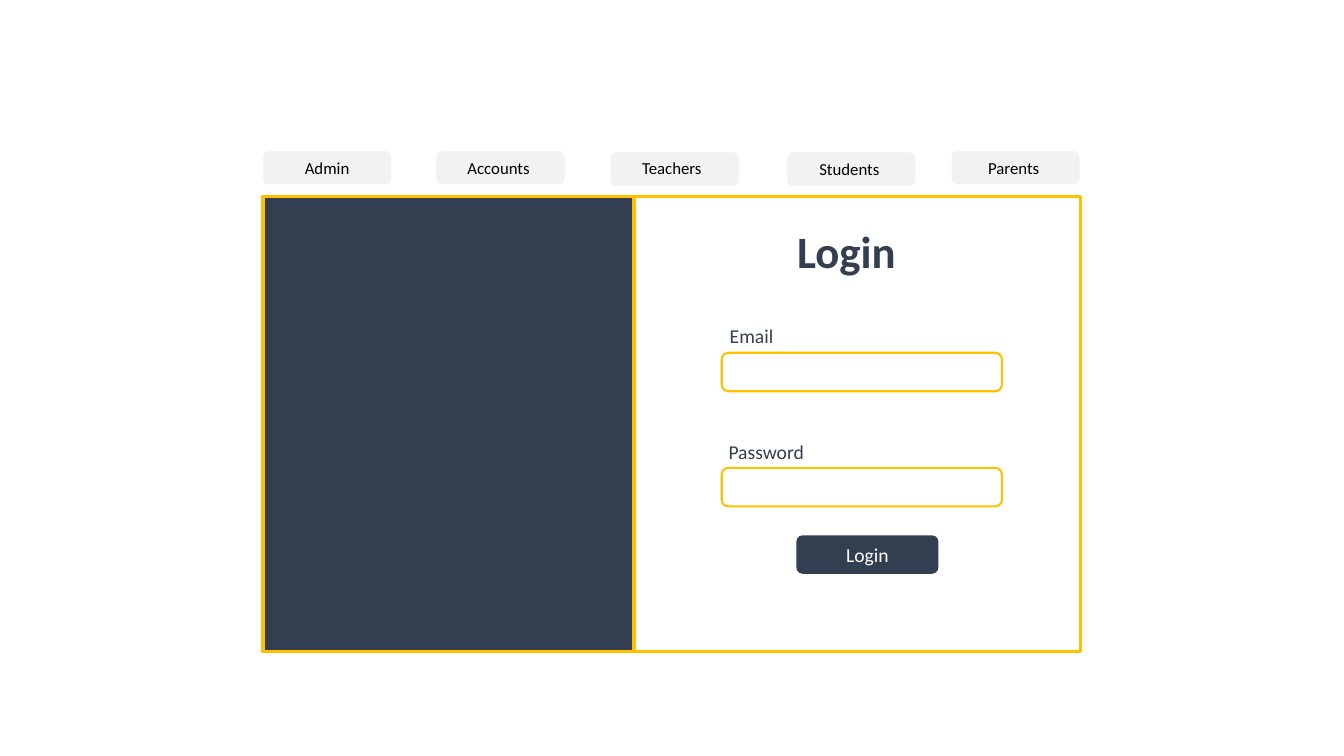
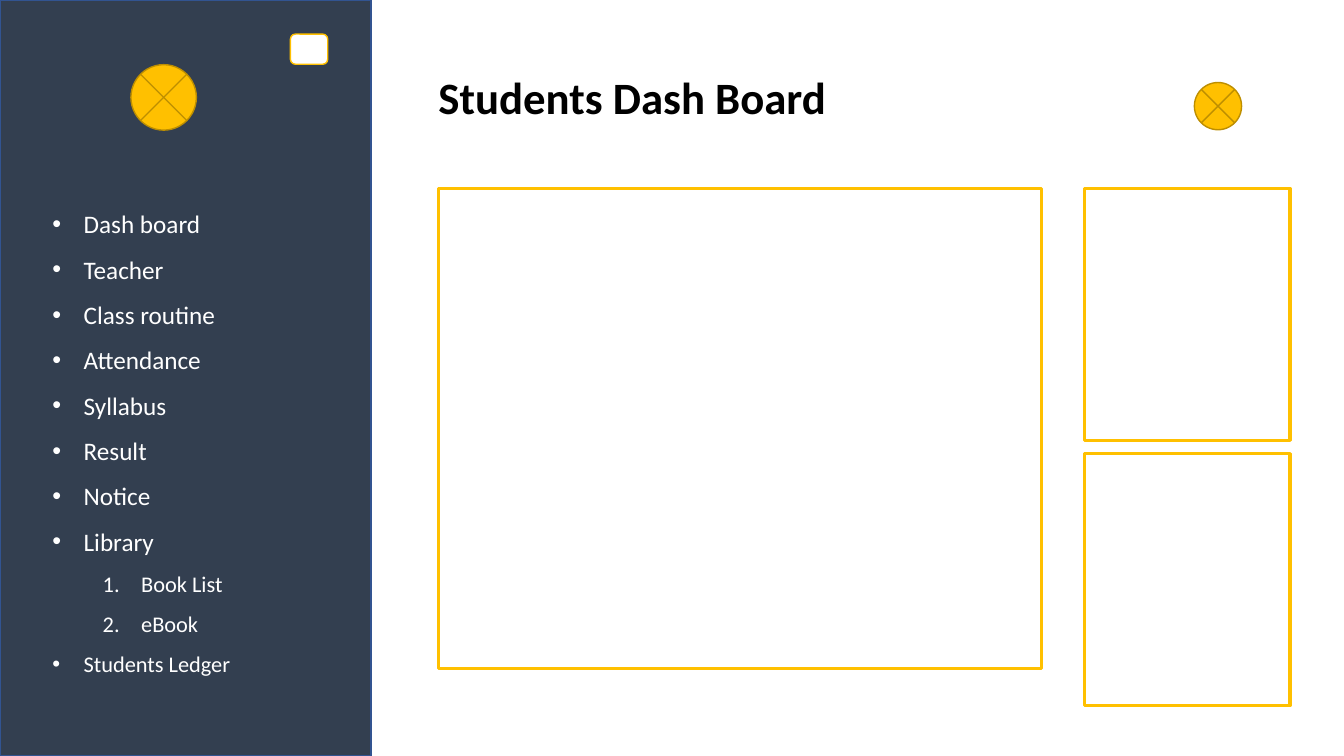
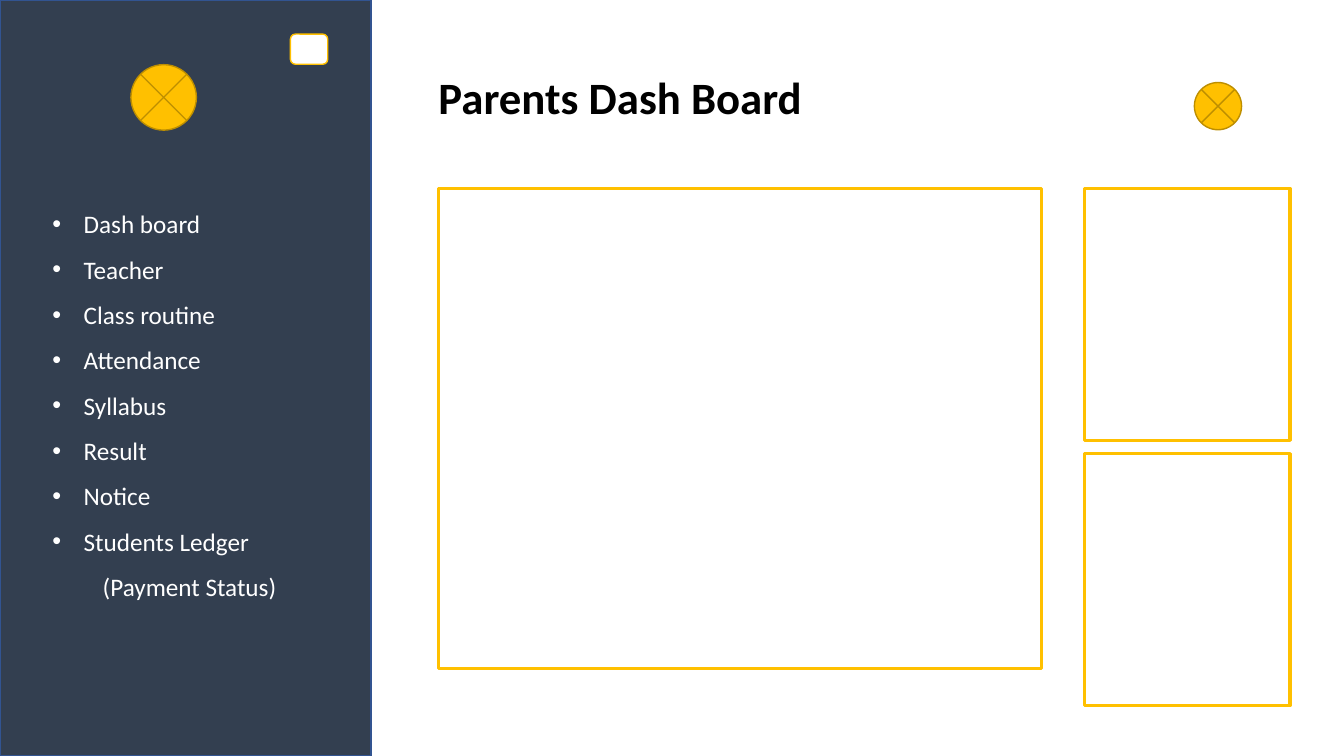
"""Build the login screen and two dashboards of a school portal."""
from lxml import etree
from pptx import Presentation
from pptx.dml.color import RGBColor
from pptx.enum import shapes, text
from pptx.oxml.ns import qn
from pptx.util import Cm, Pt

COLORS = {"navy": "333F50", "gold": "FFC000", "bronze": "BD8E00", "blue": "325491",
          "pale": "F2F2F2", "white": "FFFFFF", "black": "000000"}
FONT = "Calibri"
KIND, ANCHOR = shapes.MSO_SHAPE, text.MSO_ANCHOR

TABS = [
    (6.63, 3.81, ANCHOR.MIDDLE, [("Admin", 12)]),
    (11.0, 3.81, ANCHOR.TOP, [("Accounts ", 12)]),
    (15.39, 3.84, ANCHOR.BOTTOM, [("Teachers", 12), (" ", 18)]),
    (19.84, 3.84, ANCHOR.MIDDLE, [("Students ", 12)]),
    (23.98, 3.81, ANCHOR.MIDDLE, [("Parents ", 12)]),
]
FIELDS = [("Email", (18.14, 8.03, 1.63, 0.86), 8.89),
          ("Password", (18.11, 10.95, 2.44, 0.86), 11.79)]

COMMON_MENU = [(label, 18, "bullet") for label in (
    "Dash board", "Teacher", "Class routine", "Attendance", "Syllabus", "Result", "Notice")]
DASHBOARDS = [
    ("Students Dash Board", 10.36, 12.47, COMMON_MENU + [
        ("Library", 18, "bullet"), ("Book List", 16, "number"),
        ("eBook", 16, "number"), ("Students Ledger", 16, "bullet")]),
    ("Parents Dash Board", 9.75, 10.52, COMMON_MENU + [
        ("Students Ledger", 18, "bullet"), ("(Payment Status)", 18, "plain")]),
]
MENU_STYLES = {
    "bullet": (0, 0.79, -0.79, "buChar", {"char": "•"}),
    "number": (1, 2.24, -0.97, "buAutoNum", {"type": "arabicPeriod"}),
    "plain": (1, 1.27, 0, "buNone", {}),
}
CARDS = [(11.05, 4.75, 15.19, 12.09), (27.33, 4.75, 5.18, 6.35), (27.33, 11.43, 5.18, 6.35)]
JUNCTIONS = [(3.3, 1.63, 1.65), (30.1, 2.08, 1.19)]


def rgb(name):
    return RGBColor.from_string(COLORS[name])


def add_span(para, words, size, color, bold=False):
    span = para.add_run()
    span.text = words
    span.font.name, span.font.size, span.font.bold = FONT, Pt(size), bold
    span.font.color.rgb = rgb(color)


def add_panel(page, kind, area, fill=None, line=None, width=1):
    panel = page.shapes.add_shape(kind, *map(Cm, area))
    panel.shadow.inherit = False
    if fill:
        panel.fill.solid()
        panel.fill.fore_color.rgb = rgb(fill)
    else:
        panel.fill.background()
    if line:
        panel.line.color.rgb = rgb(line)
        panel.line.width = Pt(width)
    else:
        panel.line.fill.background()
    return panel


def add_button(page, area, fill, spans, color, anchor=ANCHOR.MIDDLE):
    button = add_panel(page, KIND.ROUNDED_RECTANGLE, area, fill)
    button.text_frame.vertical_anchor = anchor
    para = button.text_frame.paragraphs[0]
    para.alignment = text.PP_ALIGN.CENTER
    for words, size in spans:
        add_span(para, words, size, color)


def add_frame(page, area, wrap):
    box = page.shapes.add_textbox(*map(Cm, area))
    box.text_frame.word_wrap = wrap
    box.text_frame.auto_size = text.MSO_AUTO_SIZE.SHAPE_TO_FIT_TEXT
    return box.text_frame


def add_label(page, area, words, size, color, bold=False):
    add_span(add_frame(page, area, False).paragraphs[0], words, size, color, bold)


def add_menu(page, area, items):
    frame = add_frame(page, area, True)
    for index, (words, size, style) in enumerate(items):
        para = frame.add_paragraph() if index else frame.paragraphs[0]
        level, margin, indent, mark, attributes = MENU_STYLES[style]
        para.level, para.line_spacing = level, 1.5
        properties = para._p.get_or_add_pPr()
        properties.set("marL", str(Cm(margin)))
        properties.set("indent", str(Cm(indent)))
        if style == "bullet":
            etree.SubElement(properties, qn("a:buFont"), typeface="Arial")
        etree.SubElement(properties, qn("a:" + mark), **attributes)
        add_span(para, words, size, "white")


def build_login(page):
    add_panel(page, KIND.RECTANGLE, (16, 4.95, 11.23, 11.46), None, "gold", 2.25)
    add_panel(page, KIND.RECTANGLE, (6.63, 4.95, 9.35, 11.46), "navy", "gold", 2.25)
    for words, area, top in FIELDS:
        add_panel(page, KIND.ROUNDED_RECTANGLE, (18.19, top, 7.06, 0.97), "white", "gold", 1.5)
        add_label(page, area, words, 14, "navy")
    add_button(page, (20.07, 13.49, 3.58, 0.97), "navy", [("Login", 14)], "white")
    add_label(page, (19.84, 5.51, 3.05, 1.63), "Login", 32, "navy", True)
    for left, top, anchor, spans in TABS:
        add_button(page, (left, top, 3.23, 0.84), "pale", spans, "black", anchor)


def build_dashboard(page, title, title_width, menu_height, items):
    add_panel(page, KIND.RECTANGLE, (0, 0, 9.35, 19.05), "navy", "blue")
    for left, top, size in JUNCTIONS:
        add_panel(page, KIND.FLOWCHART_SUMMING_JUNCTION, (left, top, size, size), "gold", "bronze")
    add_panel(page, KIND.ROUNDED_RECTANGLE, (7.32, 0.86, 0.94, 0.76), "white", "gold")
    add_menu(page, (1.07, 4.75, 7.01, menu_height), items)
    add_label(page, (10.8, 1.63, title_width, 1.63), title, 32, "black", True)
    for area in CARDS:
        add_panel(page, KIND.RECTANGLE, area, "white", "gold", 2.25)


deck = Presentation()
deck.slide_width, deck.slide_height = Cm(33.87), Cm(19.05)
blank = deck.slide_layouts[6]
build_login(deck.slides.add_slide(blank))
for dashboard in DASHBOARDS:
    build_dashboard(deck.slides.add_slide(blank), *dashboard)
deck.save("out.pptx")
